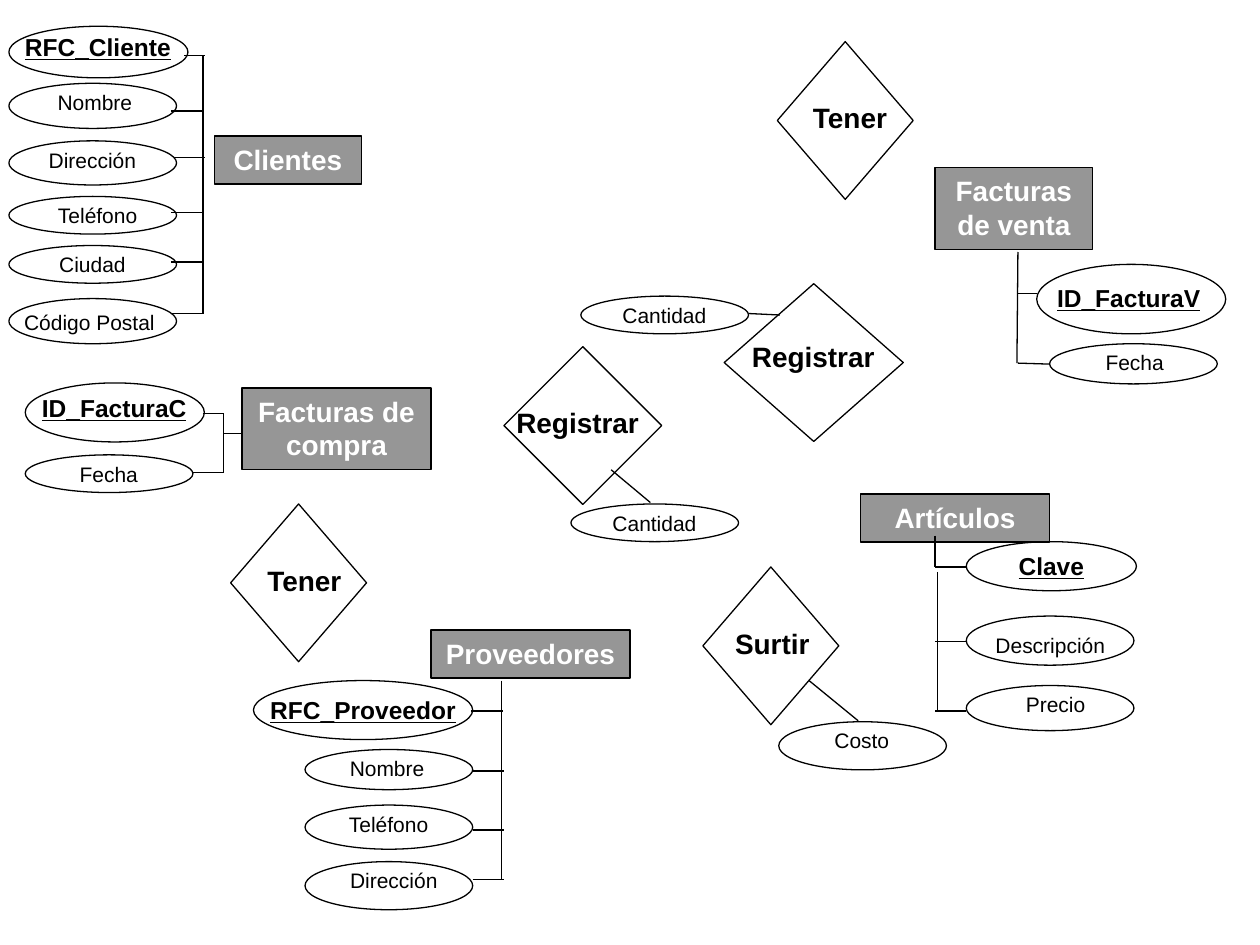
from dataclasses import dataclass
from typing import Optional

import pptx
import pptx.dml.color
import pptx.enum.shapes
import pptx.enum.text
import pptx.oxml
import pptx.oxml.ns
import pptx.util

Cm = pptx.util.Cm
Pt = pptx.util.Pt
RGB = pptx.dml.color.RGBColor
Shape = pptx.enum.shapes.MSO_SHAPE
Align = pptx.enum.text.PP_ALIGN
Anchor = pptx.enum.text.MSO_ANCHOR
AutoSize = pptx.enum.text.MSO_AUTO_SIZE


@dataclass(frozen=True)
class Theme:
    """Colours, font and sizes of the diagram."""
    ink: RGB = RGB(0x00, 0x00, 0x00)
    entity_fill: RGB = RGB(0x96, 0x96, 0x96)
    entity_text: RGB = RGB(0xFF, 0xFF, 0xFF)
    font: str = "Arial"
    heading: int = 16
    key: int = 14
    attribute: int = 12
    line: float = 0.75


@dataclass(frozen=True)
class Box:
    """A rectangle in centimetres."""
    left: float
    top: float
    width: float
    height: float

    def lengths(self) -> tuple:
        """Return the four lengths for python-pptx."""
        return Cm(self.left), Cm(self.top), Cm(self.width), Cm(self.height)


@dataclass(frozen=True)
class Entity:
    """A grey rectangle with its name."""
    text: str
    box: Box


@dataclass(frozen=True)
class Relation:
    """A diamond with a label over it."""
    text: str
    box: Box
    label: Box
    align: Align = Align.CENTER


@dataclass(frozen=True)
class Attribute:
    """An ellipse; its label starts at (left, top, width) or fills the ellipse."""
    text: str
    box: Box
    label: Optional[tuple] = None
    key: bool = False


THEME = Theme()
DIAMOND = 3.18
NAME = 0.94

ENTITIES = [
    Entity("Clientes", Box(4.32, 2.74, 2.97, 0.97)),
    Entity("Facturas de compra", Box(4.88, 7.82, 3.81, 1.65)),
    Entity("Facturas de venta", Box(18.85, 3.38, 3.18, 1.65)),
    Entity("Artículos", Box(17.35, 9.96, 3.81, 0.97)),
    Entity("Proveedores", Box(8.69, 12.7, 4.01, 0.97)),
]

RELATIONS = [
    Relation("Tener", Box(15.67, 0.84, 2.74, DIAMOND), Box(16.08, 1.9, 2.11, NAME)),
    Relation("Registrar", Box(14.6, 5.72, 3.61, DIAMOND), Box(14.91, 6.73, 3.18, NAME), Align.LEFT),
    Relation("Registrar", Box(10.16, 6.99, 3.18, DIAMOND), Box(10.16, 8.05, 3.18, NAME), Align.LEFT),
    Relation("Tener", Box(4.65, 10.16, 2.74, DIAMOND), Box(5.08, 11.23, 2.11, NAME)),
    Relation("Surtir", Box(14.17, 11.43, 2.74, DIAMOND), Box(14.4, 12.5, 2.34, NAME)),
]

ATTRIBUTES = [
    Attribute("RFC_Cliente", Box(0.18, 0.53, 3.61, 1.04), (-0.03, 0.53, 4.01), True),
    Attribute("Nombre", Box(0.18, 1.68, 3.38, 0.91), (0.43, 1.68, 2.97)),
    Attribute("Dirección", Box(0.18, 2.84, 3.38, 0.89), (0.38, 2.84, 2.97)),
    Attribute("Teléfono", Box(0.18, 3.96, 3.38, 0.76), (0.38, 3.96, 3.18)),
    Attribute("Ciudad", Box(0.18, 4.95, 3.38, 0.76), (0.38, 4.95, 2.97)),
    Attribute("Código Postal", Box(0.18, 6.02, 3.38, 0.91), (-0.1, 6.12, 3.81)),
    Attribute("ID_FacturaC", Box(0.51, 7.72, 3.61, 1.19), (0.3, 7.8, 4.01), True),
    Attribute("Fecha", Box(0.51, 9.17, 3.38, 0.76), (0.71, 9.17, 2.97)),
    Attribute("ID_FacturaV", Box(20.9, 5.33, 3.81, 1.4), (20.75, 5.59, 4.01), True),
    Attribute("Fecha", Box(21.16, 6.93, 3.38, 0.81), (21.39, 6.93, 2.97)),
    Attribute("Cantidad", Box(11.71, 5.97, 3.38, 0.76), (11.91, 5.97, 2.97)),
    Attribute("Cantidad", Box(11.51, 10.16, 3.38, 0.76), (11.71, 10.16, 2.97)),
    Attribute("Clave", Box(19.48, 10.92, 3.43, 0.99), key=True),
    Attribute("Descripción", Box(19.48, 12.42, 3.38, 0.99), (19.69, 12.62, 2.97)),
    Attribute("Precio", Box(19.48, 13.82, 3.38, 0.91), (19.69, 13.82, 3.18)),
    Attribute("Costo", Box(15.7, 14.55, 3.38, 0.97), (15.9, 14.55, 2.95)),
    Attribute("RFC_Proveedor", Box(5.11, 13.72, 4.42, 1.19), key=True),
    Attribute("Nombre", Box(6.15, 15.11, 3.38, 0.81), (6.32, 15.11, 2.97)),
    Attribute("Teléfono", Box(6.15, 16.23, 3.38, 0.89), (6.35, 16.23, 2.97)),
    Attribute("Dirección", Box(6.15, 17.37, 3.38, 0.97), (6.35, 17.37, 3.18)),
]

# Each line is (start x, start y, end x, end y) in centimetres.
CLIENT_LINES = [(4.09, 1.12, 4.09, 6.32), (3.71, 1.12, 4.14, 1.12), (3.51, 3.18, 4.14, 3.18)]
CLIENT_LINES += [(3.45, y, 4.09, y) for y in (2.24, 4.29, 5.28, 6.32)]
PURCHASE_LINES = [(4.5, 8.33, 4.5, 9.53), (4.09, 8.33, 4.52, 8.33),
                  (3.89, 9.53, 4.52, 9.53), (4.52, 8.74, 4.9, 8.74)]
SALE_LINES = [(20.52, 5.08, 20.5, 7.32), (20.52, 5.92, 20.9, 5.92), (20.52, 7.32, 21.16, 7.34)]
ARTICLE_LINES = [(18.85, 10.8, 18.85, 11.43), (18.9, 11.53, 18.9, 14.33)]
ARTICLE_LINES += [(18.85, y, 19.48, y) for y in (11.43, 12.93, 14.33)]
SUPPLIER_LINES = [(10.11, 13.72, 10.11, 17.73), (9.5, 14.33, 10.13, 14.33)]
SUPPLIER_LINES += [(9.53, y, 10.16, y) for y in (15.54, 16.73, 17.73)]
RELATION_LINES = [(15.09, 6.32, 15.72, 6.35), (13.11, 10.13, 12.32, 9.47), (16.31, 13.72, 17.3, 14.53)]
LINES = CLIENT_LINES + PURCHASE_LINES + SALE_LINES + ARTICLE_LINES + SUPPLIER_LINES + RELATION_LINES


def write_text(shape, text: str, *, size: int, color: RGB = THEME.ink, bold: bool = False,
               underline: bool = False, align: Align = Align.CENTER,
               anchor: Anchor = Anchor.TOP, wrap: bool = True) -> None:
    """Put one formatted paragraph into a shape."""
    frame = shape.text_frame
    frame.word_wrap = wrap
    frame.vertical_anchor = anchor
    frame.auto_size = AutoSize.SHAPE_TO_FIT_TEXT if wrap else AutoSize.NONE
    paragraph = frame.paragraphs[0]
    paragraph.alignment = align
    run = paragraph.add_run()
    run.text = text
    run.font.name = THEME.font
    run.font.size = Pt(size)
    run.font.bold = bold
    run.font.underline = underline
    run.font.color.rgb = color


def add_outline(slide, kind: Shape, box: Box, fill: Optional[RGB] = None):
    """Add a thin-lined shape, filled only when a colour is given."""
    shape = slide.shapes.add_shape(kind, *box.lengths())
    shape.shadow.inherit = False
    shape.line.color.rgb = THEME.ink
    shape.line.width = Pt(THEME.line)
    if fill is None:
        shape.fill.background()
    else:
        shape.fill.solid()
        shape.fill.fore_color.rgb = fill
    return shape


def add_entity(slide, entity: Entity) -> None:
    """Draw an entity rectangle."""
    shape = add_outline(slide, Shape.RECTANGLE, entity.box, THEME.entity_fill)
    write_text(shape, entity.text, size=THEME.heading, color=THEME.entity_text, bold=True)


def add_relation(slide, relation: Relation) -> None:
    """Draw a relation diamond and its label."""
    add_outline(slide, Shape.FLOWCHART_DECISION, relation.box)
    label = slide.shapes.add_textbox(*relation.label.lengths())
    write_text(label, relation.text, size=THEME.heading, bold=True, align=relation.align)


def add_attribute(slide, attribute: Attribute) -> None:
    """Draw an attribute ellipse and its label; keys are bold and underlined."""
    ellipse = add_outline(slide, Shape.OVAL, attribute.box)
    size = THEME.key if attribute.key else THEME.attribute
    style = dict(size=size, bold=attribute.key, underline=attribute.key)
    if attribute.label is None:
        write_text(ellipse, attribute.text, anchor=Anchor.MIDDLE, wrap=False, **style)
    else:
        label_box = Box(*attribute.label, 0.84 if attribute.key else 0.76)
        label = slide.shapes.add_textbox(*label_box.lengths())
        write_text(label, attribute.text, **style)


def add_line(slide, ends: tuple) -> None:
    """Draw a straight line without shadow."""
    straight = pptx.enum.shapes.MSO_CONNECTOR.STRAIGHT
    line = slide.shapes.add_connector(straight, *(Cm(value) for value in ends))
    line.line.color.rgb = THEME.ink
    line.line.width = Pt(THEME.line)
    properties = line._element.spPr
    properties.append(pptx.oxml.parse_xml(f"<a:effectLst {pptx.oxml.ns.nsdecls('a')}/>"))


def main() -> None:
    """Build and save the entity-relationship slide."""
    presentation = pptx.Presentation()
    presentation.slide_width, presentation.slide_height = Cm(25.4), Cm(19.05)
    slide = presentation.slides.add_slide(presentation.slide_layouts[6])
    for items, draw in ((ENTITIES, add_entity), (RELATIONS, add_relation),
                        (ATTRIBUTES, add_attribute), (LINES, add_line)):
        for item in items:
            draw(slide, item)
    presentation.save("out.pptx")


main()
